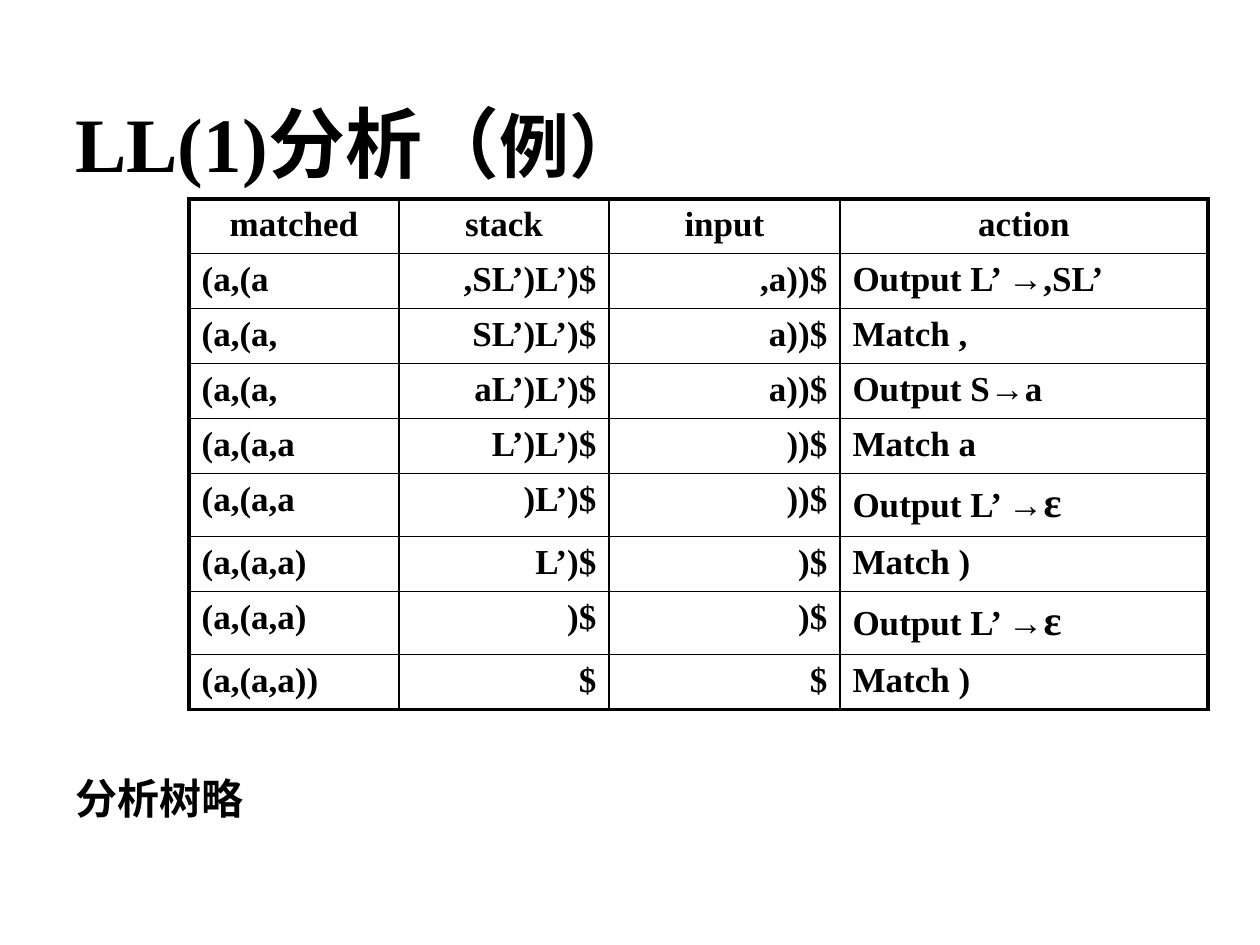
from lxml import etree
from pptx import Presentation
from pptx import util as u
from pptx.dml.color import RGBColor
from pptx.enum import text
from pptx.oxml.ns import qn

COLORS = {"ink": "000000", "paper": "FFFFFF"}
SERIF, SANS, CJK = "Times New Roman", "Arial", "Noto Sans CJK SC"
EAST_ASIAN = {SANS: CJK}
LEFT, CENTER, RIGHT = (text.PP_ALIGN.LEFT, text.PP_ALIGN.CENTER, text.PP_ALIGN.RIGHT)

HEADINGS = ["matched", "stack", "input", "action"]
STEPS = [
    ["(a,(a", ",SL’)L’)$", ",a))$", "Output L’ →,SL’"],
    ["(a,(a,", "SL’)L’)$", "a))$", "Match ,"],
    ["(a,(a,", "aL’)L’)$", "a))$", "Output S→a"],
    ["(a,(a,a", "L’)L’)$", "))$", "Match a"],
    ["(a,(a,a", ")L’)$", "))$", "Output L’ →ε"],
    ["(a,(a,a)", "L’)$", ")$", "Match )"],
    ["(a,(a,a)", ")$", ")$", "Output L’ →ε"],
    ["(a,(a,a))", "$", "$", "Match )"],
]
COLUMN_WIDTHS = [210, 210, 231, 368]
COLUMN_ALIGNS = [LEFT, RIGHT, RIGHT, LEFT]
HEADING_HEIGHT, STEP_HEIGHT, EPSILON_HEIGHT = 54, 55, 63


def px(length):
    return u.Emu(round(length * 914400 / 126))


class SlideBuilder:
    def __init__(self, slide):
        self.slide = slide
        background = slide.background.fill
        background.solid()
        background.fore_color.rgb = RGBColor.from_string(COLORS["paper"])

    def add_runs(self, frame, runs, align=LEFT):
        """Fill the first paragraph with (words, size, font) runs."""
        paragraph = frame.paragraphs[0]
        paragraph.alignment = align
        for words, size, face in runs:
            run = paragraph.add_run()
            run.text = words
            for name, value in {"size": u.Pt(size), "name": face, "bold": True}.items():
                setattr(run.font, name, value)
            run.font.color.rgb = RGBColor.from_string(COLORS["ink"])
            east_asian = etree.SubElement(run.font._element, qn("a:ea"))
            east_asian.set("typeface", EAST_ASIAN.get(face, face))

    def text_box(self, left, top, width, height, runs, anchor):
        box = self.slide.shapes.add_textbox(*map(px, (left, top, width, height)))
        box.text_frame.word_wrap = True
        box.text_frame.vertical_anchor = anchor
        self.add_runs(box.text_frame, runs)

    def border(self, cell, outer_sides):
        """Draw all four sides, the outer ones thicker."""
        properties = cell._tc.get_or_add_tcPr()
        for side in "LRTB":
            width = u.Pt(2.25 if side in outer_sides else 1)
            line = etree.SubElement(properties, qn(f"a:ln{side}"), w=str(width))
            fill = etree.SubElement(line, qn("a:solidFill"))
            etree.SubElement(fill, qn("a:srgbClr"), val=COLORS["ink"])

    def table(self, left, top, widths, heights, rows, aligns):
        frame = self.slide.shapes.add_table(
            len(rows), len(widths), *map(px, (left, top, sum(widths), sum(heights))))
        grid = frame.table
        grid.first_row = grid.horz_banding = False
        for column, width in zip(grid.columns, widths):
            column.width = px(width)
        for row, height in zip(grid.rows, heights):
            row.height = px(height)
        last_row, last_column = len(rows) - 1, len(widths) - 1
        for r, row in enumerate(rows):
            for c, words in enumerate(row):
                cell = grid.cell(r, c)
                edges = {"L": c == 0, "R": c == last_column, "T": r == 0, "B": r == last_row}
                self.border(cell, [side for side, outer in edges.items() if outer])
                cell.fill.background()
                before, epsilon, _ = words.partition("ε")
                runs = [(before, 20, SERIF)]
                if epsilon:
                    runs.append((epsilon, 24, SERIF))
                self.add_runs(cell.text_frame, runs, aligns[c] if r else CENTER)


def main():
    deck = Presentation()
    deck.slide_width, deck.slide_height = px(1260), px(945)
    page = SlideBuilder(deck.slides.add_slide(deck.slide_layouts[6]))
    page.text_box(63, 88, 1134, 107,
                  [("LL(1)", 44, SERIF), ("分析（", 44, CJK), ("例）", 40, CJK)],
                  text.MSO_ANCHOR.MIDDLE)
    heights = [HEADING_HEIGHT] + [
        EPSILON_HEIGHT if "ε" in step[-1] else STEP_HEIGHT for step in STEPS]
    page.table(189, 199, COLUMN_WIDTHS, heights, [HEADINGS] + STEPS, COLUMN_ALIGNS)
    page.text_box(63, 766, 872, 63, [("分析树略", 24, SANS)], text.MSO_ANCHOR.TOP)
    deck.save("out.pptx")


if __name__ == "__main__":
    main()
